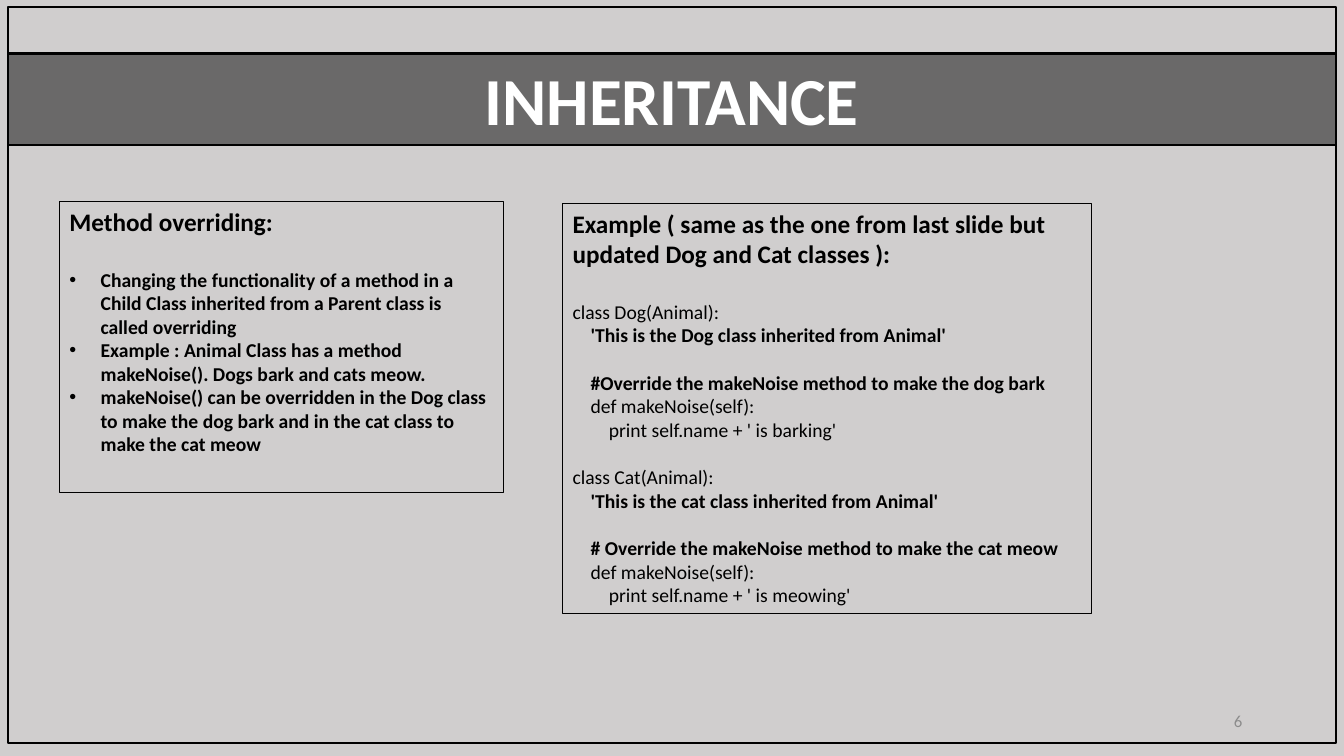
from dataclasses import dataclass

from lxml.etree import SubElement
from pptx import Presentation
from pptx.dml.color import RGBColor
from pptx.enum.shapes import MSO_SHAPE
from pptx.enum.text import MSO_ANCHOR, PP_ALIGN
from pptx.oxml.ns import qn
from pptx.util import Inches, Pt


@dataclass(frozen=True)
class Theme:
    font: str = "Calibri"
    back: RGBColor = RGBColor(0xD0, 0xCE, 0xCE)
    ink: RGBColor = RGBColor(0, 0, 0)
    light: RGBColor = RGBColor(255, 255, 255)
    muted: RGBColor = RGBColor(0x8C, 0x8C, 0x8C)
    title: int = 48
    head: int = 18
    body: int = 14
    small: int = 12
    thick: float = 1.75
    thin: float = 0.75


@dataclass(frozen=True)
class Box:
    left: float
    top: float
    width: float
    height: float
    line: float

    def area(self) -> tuple:
        return tuple(map(Inches, (self.left, self.top, self.width, self.height)))


THEME = Theme()


@dataclass(frozen=True)
class Line:
    text: str
    size: int = THEME.body
    bold: bool = True
    color: RGBColor = THEME.ink
    align: PP_ALIGN = PP_ALIGN.LEFT
    gap: float = 0  # points above the line
    level: int = 0  # steps of code indent
    bullet: bool = False


STEP = 0.18  # code indent, inches
HANG = Inches(0.31)
WIDE, TIGHT = 22, 17  # one empty line of heading or body text, points


def add_box(slide, box: Box):
    shape = slide.shapes.add_shape(MSO_SHAPE.RECTANGLE, *box.area())
    shape.shadow.inherit = False
    shape.fill.background()
    shape.line.color.rgb = THEME.ink
    shape.line.width = Pt(box.line)
    return shape


def write(shape, lines: list[Line], anchor=MSO_ANCHOR.TOP) -> None:
    frame = shape.text_frame
    frame.word_wrap = True
    frame.vertical_anchor = anchor
    frame.text = "\n".join(line.text for line in lines)
    for para, line in zip(frame.paragraphs, lines):
        para.alignment = line.align
        para.space_before = Pt(line.gap)
        props = para._p.get_or_add_pPr()
        if line.bullet:
            props.set("marL", str(HANG))
            props.set("indent", str(-HANG))
            SubElement(props, qn("a:buFont"), typeface="Arial")
            SubElement(props, qn("a:buChar"), char="•")
        elif line.level:
            props.set("marL", str(Inches(STEP * line.level)))
        for run in para.runs:
            run.font.name = THEME.font
            run.font.size = Pt(line.size)
            run.font.bold = line.bold
            run.font.color.rgb = line.color


def code(name: str, doc: str, note: str, sound: str, gap: int) -> list[Line]:
    return [
        Line(f"class {name}(Animal):", bold=False, gap=gap),
        Line(f"'This is the {doc} class inherited from Animal'", level=1),
        Line(f"{note} the makeNoise method to make the {name.lower()} {sound}",
             gap=TIGHT, level=1),
        Line("def makeNoise(self):", bold=False, level=1),
        Line(f"print self.name + ' is {sound}ing'", bold=False, level=2),
    ]


deck = Presentation()
deck.slide_width, deck.slide_height = Inches(13.33), Inches(7.5)
slide = deck.slides.add_slide(deck.slide_layouts[6])
slide.background.fill.solid()
slide.background.fill.fore_color.rgb = THEME.back

# Frame and title band
add_box(slide, Box(0.08, 0.07, 13.17, 7.3, THEME.thick))
band = add_box(slide, Box(0.08, 0.53, 13.17, 0.91, THEME.thick))
band.fill.solid()
band.fill.fore_color.rgb = THEME.ink
tint = band._element.spPr.find(qn("a:solidFill"))[0]
SubElement(tint, qn("a:alpha"), val="49000")
write(band, [Line("INHERITANCE", THEME.title, color=THEME.light,
                  align=PP_ALIGN.CENTER)])

# Explanation
points = [
    "Changing the functionality of a method in a Child Class inherited "
    "from a Parent class is called overriding",
    "Example : Animal Class has a method makeNoise(). Dogs bark and cats meow.",
    "makeNoise() can be overridden in the Dog class to make the dog bark "
    "and in the cat class to make the cat meow",
]
notes = [Line("Method overriding:", THEME.head)]
notes += [Line(text, gap=0 if i else WIDE, bullet=True)
          for i, text in enumerate(points)]
write(add_box(slide, Box(0.59, 2, 4.4, 2.89, THEME.thin)), notes)

# Code example
sample = [Line("Example ( same as the one from last slide but updated "
               "Dog and Cat classes ):", THEME.head)]
sample += code("Dog", "Dog", "#Override", "bark", WIDE)
sample += code("Cat", "cat", "# Override", "meow", TIGHT)
write(add_box(slide, Box(5.58, 2.02, 5.25, 4.07, THEME.thin)), sample)

# Slide number
number = slide.shapes.add_textbox(*map(Inches, (9.42, 6.95, 3, 0.4)))
write(number, [Line("6", THEME.small, False, THEME.muted, PP_ALIGN.RIGHT)],
      MSO_ANCHOR.MIDDLE)

deck.save("out.pptx")
